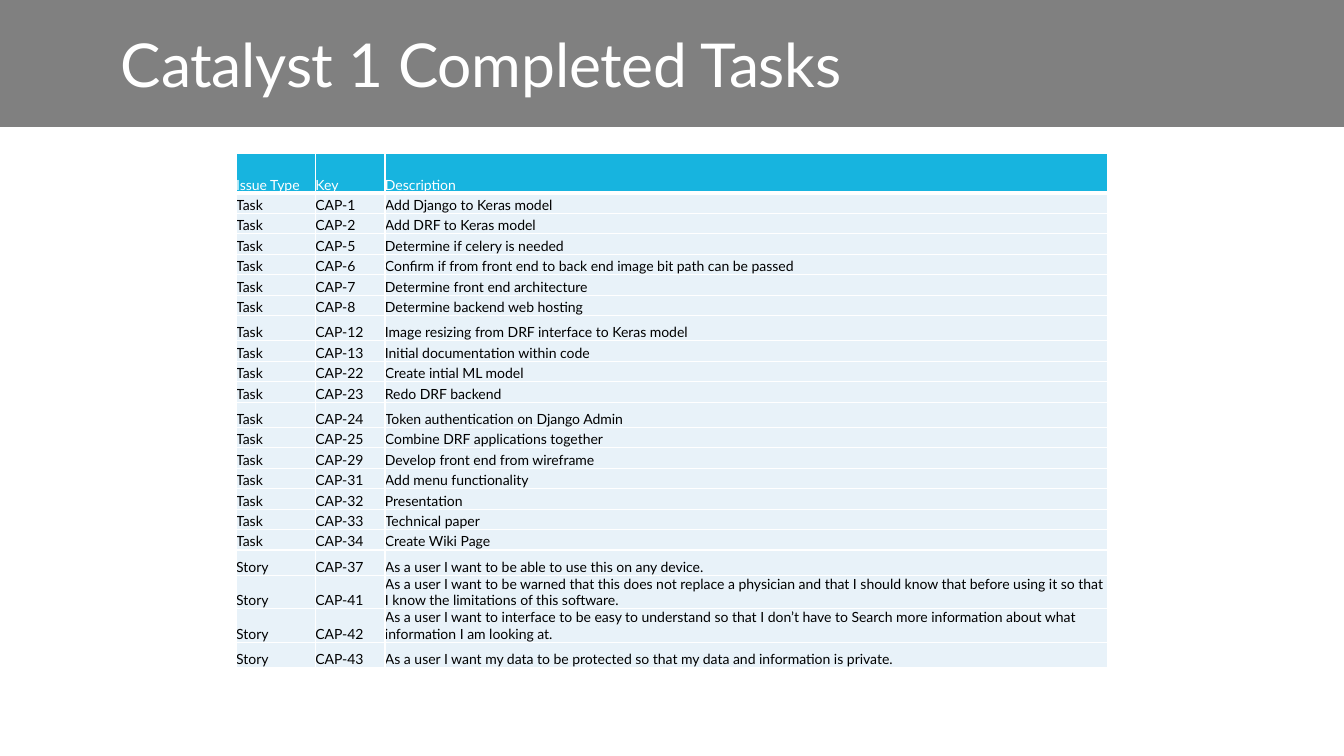
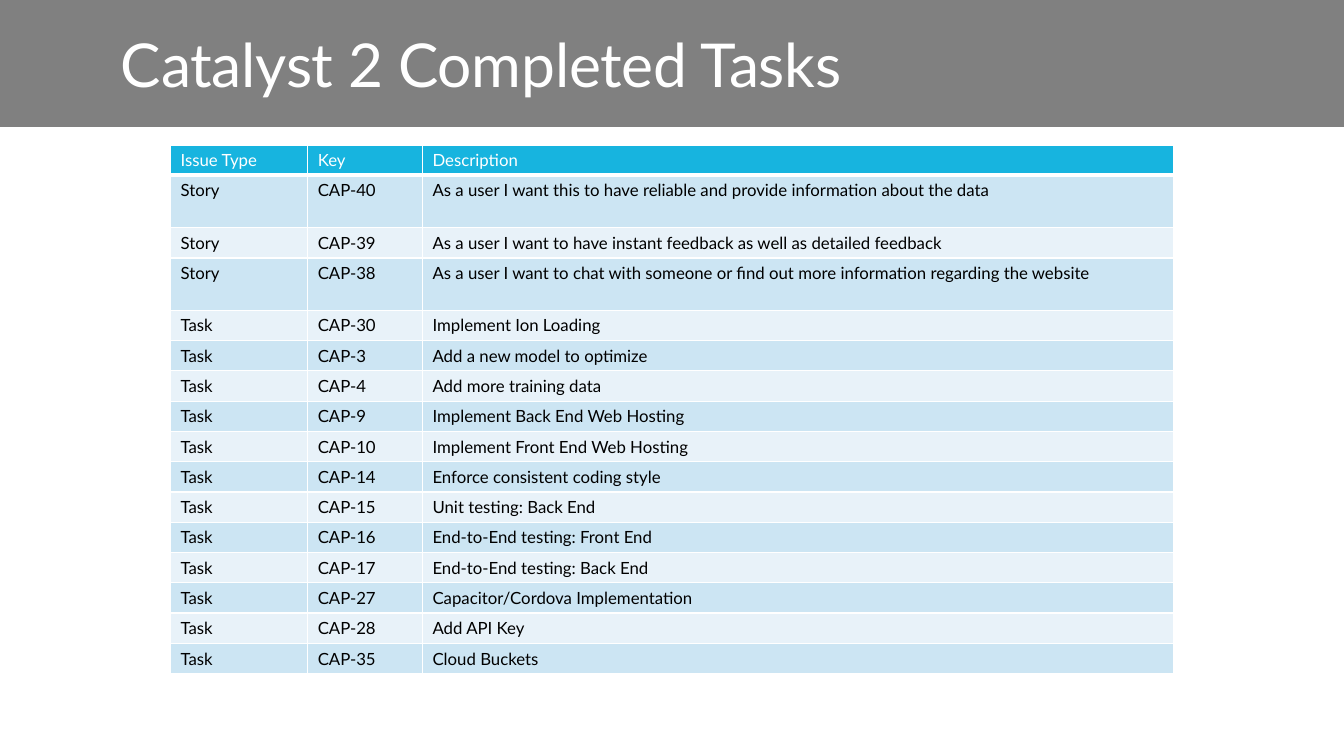
import dataclasses

import lxml.etree
import pptx
import pptx.dml.color
import pptx.enum.shapes
import pptx.enum.text
import pptx.oxml.ns
import pptx.util

Pt = pptx.util.Pt
Rgb = pptx.dml.color.RGBColor.from_string
qn = pptx.oxml.ns.qn
Anchor = pptx.enum.text.MSO_ANCHOR


@dataclasses.dataclass(frozen=True)
class Theme:
    """Colours, font and title size shared by the slides."""
    font: str = "Lato"
    band: str = "808080"
    head: str = "17B4DF"
    pale: str = "E8F2F9"
    tint: str = "CCE5F3"
    white: str = "FFFFFF"
    black: str = "000000"
    title: float = 43.2


theme = Theme()


def write(frame, text, size, color):
    """Add one styled run to the first paragraph and return it."""
    run = frame.paragraphs[0].add_run()
    run.text = text
    run.font.name = theme.font
    run.font.size = Pt(size)
    run.font.color.rgb = Rgb(color)
    return run


def edge(cell, row):
    """Draw white cell borders, thicker beneath the header row."""
    props = cell._tc.get_or_add_tcPr()
    for spot, side in enumerate("LRTB"):
        thick = (row, side) in ((0, "B"), (1, "T"))
        line = lxml.etree.Element(qn("a:ln" + side), w=str(Pt(3 if thick else 1)))
        fill = lxml.etree.SubElement(line, qn("a:solidFill"))
        lxml.etree.SubElement(fill, qn("a:srgbClr"), val=theme.white)
        props.insert(spot, line)


HEADS = ("Issue Type", "Key", "Description")

first = [
    ("Task", 1, "Add Django to Keras model"),
    ("Task", 2, "Add DRF to Keras model"),
    ("Task", 5, "Determine if celery is needed"),
    ("Task", 6, "Confirm if from front end to back end image bit path can be passed"),
    ("Task", 7, "Determine front end architecture"),
    ("Task", 8, "Determine backend web hosting"),
    ("Task", 12, "Image resizing from DRF interface to Keras model"),
    ("Task", 13, "Initial documentation within code"),
    ("Task", 22, "Create intial ML model"),
    ("Task", 23, "Redo DRF backend"),
    ("Task", 24, "Token authentication on Django Admin"),
    ("Task", 25, "Combine DRF applications together"),
    ("Task", 29, "Develop front end from wireframe"),
    ("Task", 31, "Add menu functionality"),
    ("Task", 32, "Presentation"),
    ("Task", 33, "Technical paper"),
    ("Task", 34, "Create Wiki Page"),
    ("Story", 37, "As a user I want to be able to use this on any device."),
    ("Story", 41, "As a user I want to be warned that this does not replace a physician "
     "and that I should know that before using it so that I know the limitations "
     "of this software."),
    ("Story", 42, "As a user I want to interface to be easy to understand so that I "
     "don’t have to Search more information about what information I am looking at."),
    ("Story", 43, "As a user I want my data to be protected so that my data and "
     "information is private."),
]

second = [
    ("Story", 40, "As a user I want this to have reliable and provide information "
     "about the data"),
    ("Story", 39, "As a user I want to have instant feedback as well as detailed feedback"),
    ("Story", 38, "As a user I want to chat with someone or find out more information "
     "regarding the website"),
    ("Task", 30, "Implement Ion Loading"),
    ("Task", 3, "Add a new model to optimize"),
    ("Task", 4, "Add more training data"),
    ("Task", 9, "Implement Back End Web Hosting"),
    ("Task", 10, "Implement Front End Web Hosting"),
    ("Task", 14, "Enforce consistent coding style"),
    ("Task", 15, "Unit testing: Back End"),
    ("Task", 16, "End-to-End testing: Front End"),
    ("Task", 17, "End-to-End testing: Back End"),
    ("Task", 27, "Capacitor/Cordova Implementation"),
    ("Task", 28, "Add API Key"),
    ("Task", 35, "Cloud Buckets"),
]

pages = [
    dict(title="Catalyst 1 Completed Tasks", tasks=first, left=168.7, top=109.5,
         cols=(56.6, 49.7, 516), head=28.4, row=14.6, high=18,
         tall=(12, 24, 37, 41, 42, 43), size=10, pad=(0, 0), anchor=Anchor.BOTTOM,
         fills=(theme.pale, theme.pale)),
    dict(title="Catalyst 2 Completed Tasks", tasks=second, left=121.8, top=103.6,
         cols=(98, 82, 536.4), head=21.6, row=21.6, high=37.4,
         tall=(40, 38), size=12, pad=(7.2, 3.6), anchor=Anchor.TOP,
         fills=(theme.tint, theme.pale)),
]

deck = pptx.Presentation()
deck.slide_width, deck.slide_height = Pt(960), Pt(540)
layout = deck.slide_layouts.get_by_name("Title Only")
slides = [deck.slides.add_slide(layout) for page in pages]

# The band is drawn once and moved to the layout, behind its placeholders.
band = slides[0].shapes.add_shape(
    pptx.enum.shapes.MSO_SHAPE.RECTANGLE, 0, 0, Pt(960), Pt(90.6))
band.shadow.inherit = False
band.fill.solid()
band.fill.fore_color.rgb = Rgb(theme.band)
band.line.fill.background()
band.element.nvSpPr.cNvPr.set("id", "20")
layout.shapes.element.insert(2, band.element)

for slide, page in zip(slides, pages):
    title = slide.shapes.title
    title.left, title.top = Pt(79.2), Pt(15.1)
    title.width, title.height = Pt(741.6), Pt(60.5)
    frame = title.text_frame
    frame.word_wrap = True
    frame.auto_size = pptx.enum.text.MSO_AUTO_SIZE.NONE
    frame.vertical_anchor = Anchor.MIDDLE
    frame.paragraphs[0].alignment = pptx.enum.text.PP_ALIGN.LEFT
    run = write(frame, page["title"], theme.title, theme.white)
    run.font._element.set("spc", "-20")

    tasks = page["tasks"]
    highs = [page["head"]] + [
        page["high"] if key in page["tall"] else page["row"] for _, key, _ in tasks]
    rows = [HEADS] + [(kind, f"CAP-{key}", text) for kind, key, text in tasks]
    table = slide.shapes.add_table(
        len(rows), len(HEADS), Pt(page["left"]), Pt(page["top"]),
        Pt(sum(page["cols"])), Pt(sum(highs))).table
    table.horz_banding = False
    for col, width in zip(table.columns, page["cols"]):
        col.width = Pt(width)
    for r, (texts, high) in enumerate(zip(rows, highs)):
        table.rows[r].height = Pt(high)
        fill = page["fills"][(r - 1) % 2] if r else theme.head
        for c, text in enumerate(texts):
            cell = table.cell(r, c)
            cell.fill.solid()
            cell.fill.fore_color.rgb = Rgb(fill)
            cell.margin_left = cell.margin_right = Pt(page["pad"][0])
            cell.margin_top = cell.margin_bottom = Pt(page["pad"][1])
            cell.vertical_anchor = page["anchor"]
            run = write(cell.text_frame, text, page["size"],
                        theme.black if r else theme.white)
            run.font.bold = False
            edge(cell, r)

deck.save("out.pptx")
